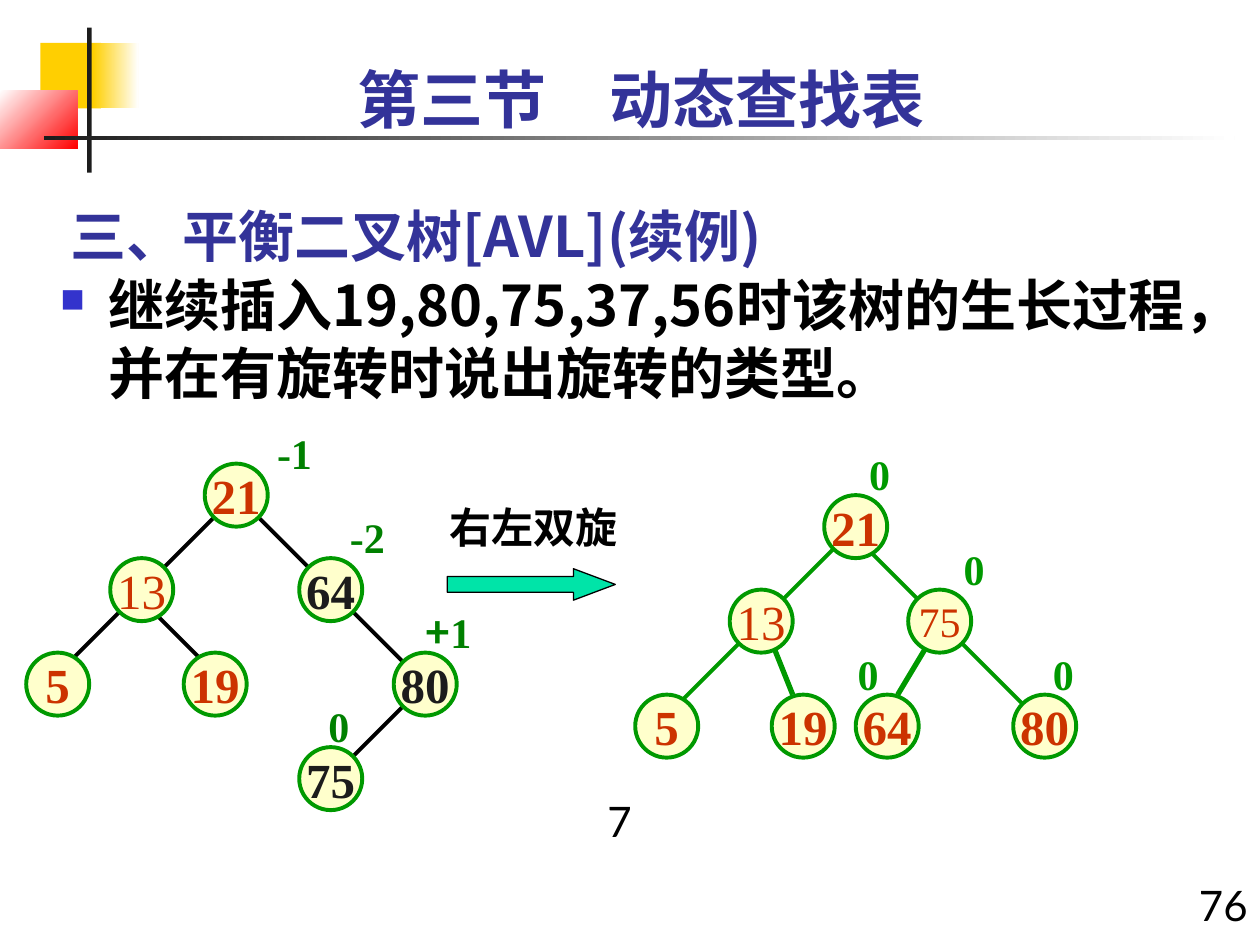
"""Build the slide on the right-left double rotation of an AVL tree."""
from dataclasses import dataclass
from typing import Any, NamedTuple

from lxml import etree
from pptx import Presentation
from pptx import util as u
from pptx.dml.color import RGBColor
from pptx.enum import shapes, text
from pptx.oxml import ns

COLUMNS, ROWS = 120, 90
CELL = u.Inches(10) / COLUMNS
NODE_CELLS = 6
COLOURS = {
    "gold": "FFCF01", "white": "FFFFFF", "red": "FF0000", "ink": "1C1C1C",
    "black": "000000", "navy": "333399", "bullet": "3333CC", "cream": "FFFFCC",
    "green": "009900", "dark green": "008000", "rust": "CC3300", "mint": "00E4A8",
}
SANS, CHINESE, SERIF = "Lato", "Noto Sans CJK SC", "Times New Roman"


class Area(NamedTuple):
    column: float
    row: float
    columns: float
    rows: float


class Run(NamedTuple):
    words: str
    font: str
    size: float
    colour: str
    bold: bool = True


class Node(NamedTuple):
    value: str
    column: float
    row: float
    colour: str = "rust"
    bold: bool = True
    size: float = 28


class Edge(NamedTuple):
    column: float
    row: float
    end_column: float
    end_row: float
    width: float = 2.25


class Balance(NamedTuple):
    value: str
    column: float
    row: float
    columns: float = 4.32


@dataclass
class Tree:
    column: float
    row: float
    edge_colour: str
    balance_colour: str
    nodes: list[Node]
    edges: list[Edge]
    balances: list[Balance]


DECORATIONS = [
    (Area(3.84, 4.08, 5.76, 6.24), ["gold"], 0),
    (Area(8.88, 4.08, 4.32, 6.24), ["gold", "white"], 0),
    (Area(0, 8.64, 7.4, 5.52), ["white", "red"], 315),
    (Area(8.3, 2.64, 0.42, 13.8), ["ink"], 0),
    (Area(4.2, 12.96, 113.4, 0.42), ["ink", "white"], 0),
]
TREES = [
    Tree(2.5, 44.16, "black", "dark green",
         [Node("21", 17, 0), Node("13", 8, 9, bold=False), Node("64", 26, 9, "ink"),
          Node("5", 0, 18), Node("19", 15, 18), Node("80", 35, 18, "ink"),
          Node("75", 26, 27, "ink")],
         [Edge(18, 5, 13, 10), Edge(22, 5, 27, 10), Edge(10, 13, 4, 19),
          Edge(12, 14, 17, 19), Edge(31, 14, 36, 19), Edge(36, 23, 31, 28)],
         [Balance("-1", 22.7, -4, 5.76), Balance("-2", 29.64, 4, 5.76),
          Balance("+1", 36.84, 13, 8), Balance("0", 27.6, 22)]),
    Tree(60.5, 47.16, "green", "green",
         [Node("21", 18, 0), Node("13", 9, 9, bold=False),
          Node("75", 26, 9, bold=False, size=24), Node("5", 0, 19),
          Node("19", 13, 19), Node("64", 21, 19), Node("80", 36, 19)],
         [Edge(19, 5, 14, 10), Edge(22, 5, 28, 11), Edge(10, 14, 4, 20),
          Edge(13, 14, 15, 19, 3), Edge(28, 14, 25, 19, 3), Edge(31, 14, 38, 21)],
         [Balance("0", 21.1, -5), Balance("0", 30.1, 4), Balance("0", 20, 14),
          Balance("0", 38.6, 14)]),
]


def cells(*counts: float) -> list[int]:
    return [round(count * CELL) for count in counts]


def colour(name: str) -> RGBColor:
    return RGBColor.from_string(COLOURS[name])


def set_formats(target: Any, formats: dict[str, Any]) -> None:
    for name, value in formats.items():
        setattr(target, name, value)


def add_run(paragraph: Any, run: Run) -> None:
    added = paragraph.add_run()
    added.text = run.words
    set_formats(added.font, {"name": run.font, "size": u.Pt(run.size), "bold": run.bold})
    added.font.color.rgb = colour(run.colour)
    east_asian = CHINESE if run.font == SERIF else run.font
    etree.SubElement(added.font._element, ns.qn("a:ea"), typeface=east_asian)


def write(shape: Any, runs: list[Run], align: str = "LEFT", **formats: Any) -> Any:
    frame = shape.text_frame
    set_formats(frame, {"word_wrap": True, **formats})
    paragraph = frame.paragraphs[0]
    paragraph.alignment = text.PP_ALIGN[align]
    for run in runs:
        add_run(paragraph, run)
    return paragraph


def add_text(slide: Any, area: Area, runs: list[Run], align: str = "LEFT",
             **formats: Any) -> Any:
    return write(slide.shapes.add_textbox(*cells(*area)), runs, align, **formats)


def add_shape(slide: Any, kind: str, area: Area, fills: list[str], angle: float = 0,
              line: str = "", width: float = 0) -> Any:
    shape = slide.shapes.add_shape(shapes.MSO_SHAPE[kind], *cells(*area))
    shape.shadow.inherit = False
    if len(fills) > 1:
        shape.fill.gradient()
        shape.fill.gradient_angle = angle
        for stop, name in zip(shape.fill.gradient_stops, fills):
            stop.color.rgb = colour(name)
    else:
        shape.fill.solid()
        shape.fill.fore_color.rgb = colour(fills[0])
    if line:
        shape.line.color.rgb = colour(line)
        shape.line.width = u.Pt(width)
    else:
        shape.line.fill.background()
    return shape


def draw_tree(slide: Any, tree: Tree) -> None:
    x, y = tree.column, tree.row
    for edge in tree.edges:
        connector = slide.shapes.add_connector(
            shapes.MSO_CONNECTOR.STRAIGHT,
            *cells(x + edge.column, y + edge.row, x + edge.end_column, y + edge.end_row))
        connector.line.color.rgb = colour(tree.edge_colour)
        connector.line.width = u.Pt(edge.width)
        etree.SubElement(connector._element.spPr, ns.qn("a:effectLst"))
    for node in tree.nodes:
        area = Area(x + node.column, y + node.row, NODE_CELLS, NODE_CELLS)
        circle = add_shape(slide, "OVAL", area, ["cream"], line="green", width=2.25)
        write(circle, [Run(node.value, SERIF, node.size, node.colour, node.bold)],
              "CENTER", word_wrap=False, vertical_anchor=text.MSO_ANCHOR.MIDDLE)
    for balance in tree.balances:
        digits = balance.value.lstrip("+")
        signs = balance.value[:-len(digits)]
        runs = [Run(words, font, 24, tree.balance_colour)
                for words, font in ((signs, CHINESE), (digits, SERIF)) if words]
        area = Area(x + balance.column, y + balance.row, balance.columns, NODE_CELLS)
        add_text(slide, area, runs, word_wrap=False)


def draw_body(slide: Any) -> None:
    words = "继续插入19,80,75,37,56时该树的生长过程，并在有旋转时说出旋转的类型。"
    paragraph = add_text(slide, Area(4.56, 25.2, 115, 56), [Run(words, CHINESE, 32, "black")],
                         margin_right=u.Inches(0.45))
    properties = paragraph._p.get_or_add_pPr()
    indent = cells(4.56)[0]
    properties.set("marL", str(indent))
    properties.set("indent", str(-indent))
    bullet_colour = etree.SubElement(properties, ns.qn("a:buClr"))
    etree.SubElement(bullet_colour, ns.qn("a:srgbClr"), val=COLOURS["bullet"])
    etree.SubElement(properties, ns.qn("a:buSzPct"), val="60000")
    etree.SubElement(properties, ns.qn("a:buChar"), char="■")


def main() -> None:
    presentation = Presentation()
    set_formats(presentation, {"slide_width": round(COLUMNS * CELL),
                               "slide_height": round(ROWS * CELL)})
    slide = presentation.slides.add_slide(presentation.slide_layouts[6])
    for area, fills, angle in DECORATIONS:
        add_shape(slide, "RECTANGLE", area, fills, angle)
    add_text(slide, Area(5.52, 17.16, 93, 9),
             [Run("三、平衡二叉树[AVL](续例)", CHINESE, 32, "navy")],
             vertical_anchor=text.MSO_ANCHOR.BOTTOM)
    add_text(slide, Area(112, 83.16, 8, 7.08), [Run("76", SANS, 24, "black", False)], "RIGHT")
    add_text(slide, Area(5.52, 5.16, 111, 8.4),
             [Run("第三节　动态查找表", SANS, 36, "navy")], "CENTER")
    draw_body(slide)
    add_text(slide, Area(55.5, 75.16, 7, 6), [Run("7", SANS, 24, "black", False)], "CENTER")
    arrow = add_shape(slide, "RIGHT_ARROW", Area(42.6, 54.16, 16, 3), ["mint"],
                      line="black", width=0.75)
    arrow.adjustments[1] = 1.33
    add_text(slide, Area(41.64, 47.16, 18.36, 6), [Run("右左双旋", SERIF, 24, "black")],
             word_wrap=False)
    for tree in TREES:
        draw_tree(slide, tree)
    presentation.save("out.pptx")


if __name__ == "__main__":
    main()
